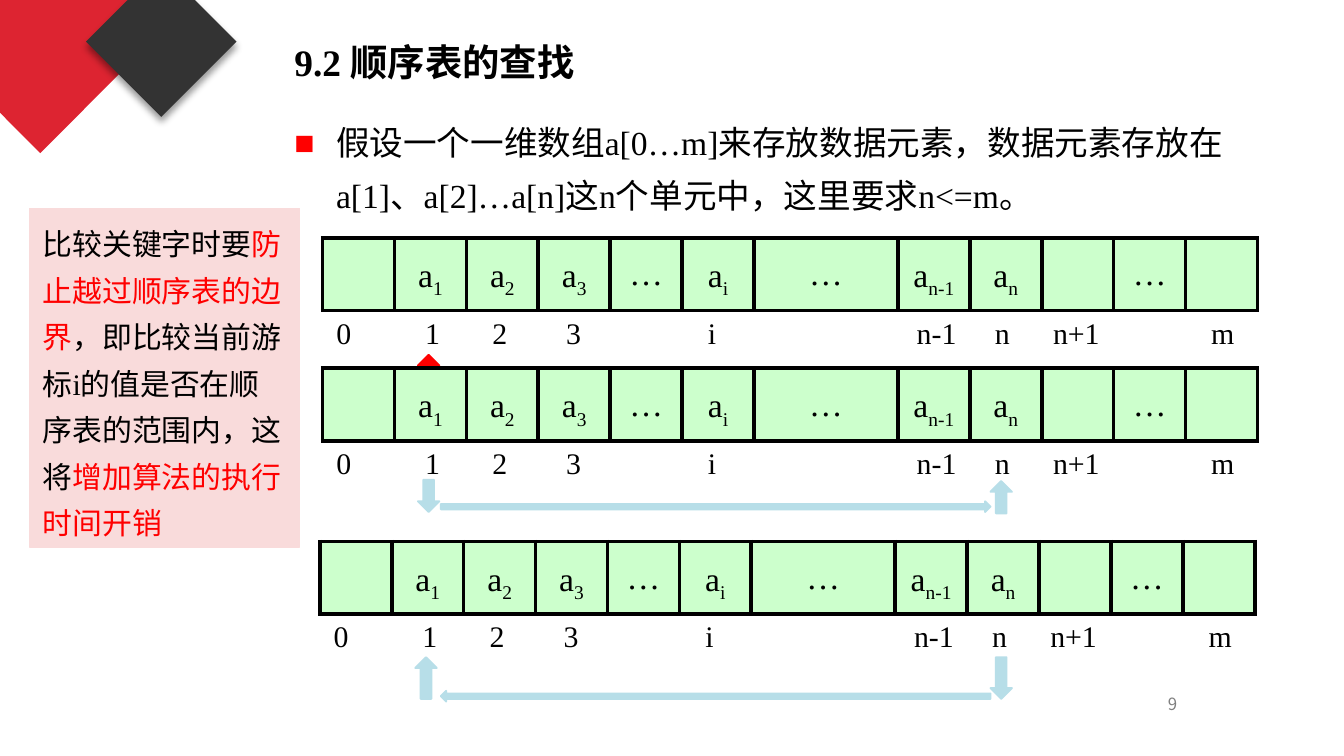
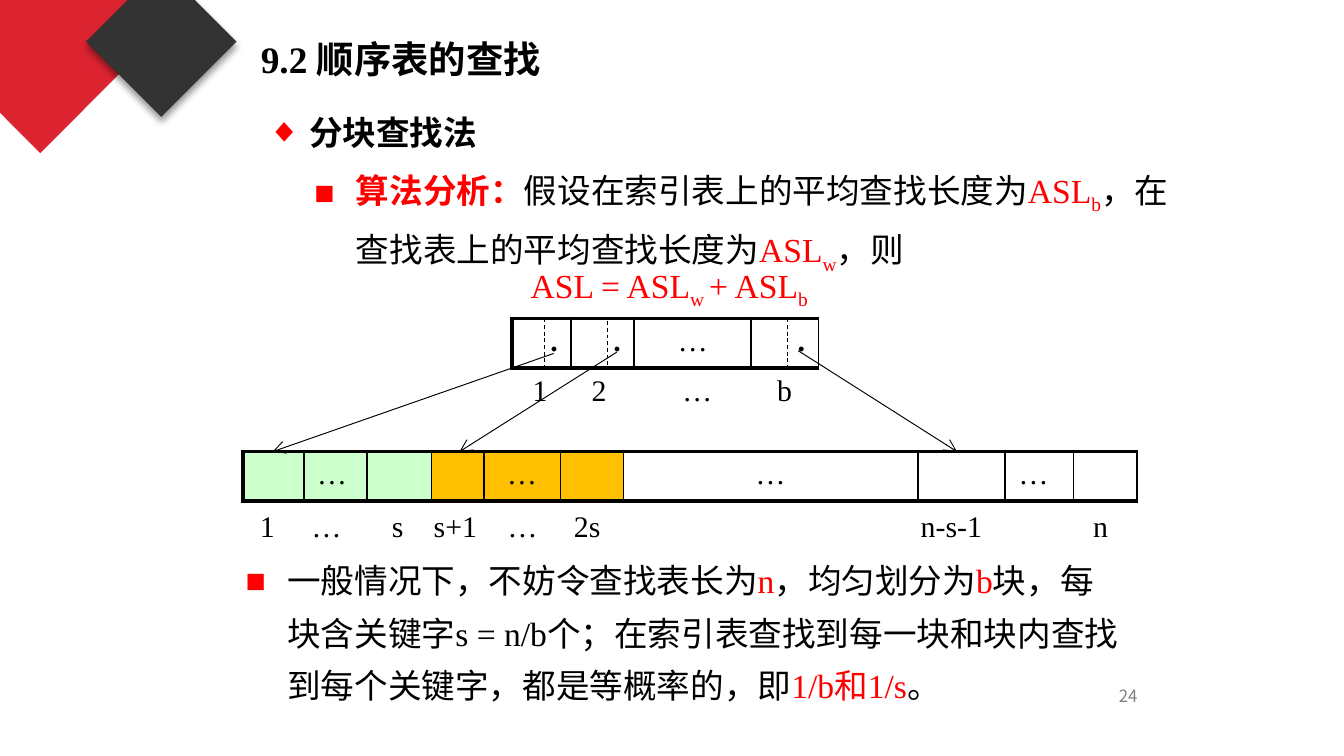
"""Build two slides on searching a sequential list."""
import dataclasses

import lxml.etree
import pptx
import pptx.dml.color
import pptx.enum.dml
import pptx.enum.shapes
import pptx.enum.text
import pptx.oxml.ns
import pptx.util

Inches = pptx.util.Inches
Pt = pptx.util.Pt
qn = pptx.oxml.ns.qn
SHAPE = pptx.enum.shapes.MSO_SHAPE
ANCHOR = pptx.enum.text.MSO_ANCHOR
ALIGN = {
    "l": pptx.enum.text.PP_ALIGN.LEFT,
    "c": pptx.enum.text.PP_ALIGN.CENTER,
    "r": pptx.enum.text.PP_ALIGN.RIGHT,
}
rgb = pptx.dml.color.RGBColor.from_string


@dataclasses.dataclass(frozen=True)
class Theme:
    black = rgb("000000")
    red = rgb("FF0000")
    gray = rgb("808080")
    crimson = rgb("DD2431")
    charcoal = rgb("333333")
    green = rgb("CCFFCC")
    amber = rgb("FFC000")
    sky = rgb("B7DEE8")
    pink = rgb("F9DBDB")
    latin = "Times New Roman"
    chinese = "Noto Sans CJK SC"
    title = 20
    body = 18
    label = 16
    number = 9
    loose = 1.3
    thick = 2.25
    thin = 1


theme = Theme()


def write(target, box, spans, size, color=theme.black, font=theme.latin, bold=False,
          align="l", spacing=1.0, bullet=None, tabs=(), anchor=ANCHOR.TOP):
    """Place a text holder and fill it with one paragraph of marked spans."""
    if box:
        target.left, target.top, target.width, target.height = map(Inches, box)
        target.text_frame.auto_size = pptx.enum.text.MSO_AUTO_SIZE.NONE
        target.text_frame.word_wrap = True
        target.text_frame.vertical_anchor = anchor
    para = target.text_frame.paragraphs[0]
    para.alignment = ALIGN[align]
    para.line_spacing = spacing
    para.space_before = Pt(0)
    properties = para._p.get_or_add_pPr()
    if bullet:
        properties.set("marL", str(Inches(0.31)))
        properties.set("indent", str(Inches(-0.31)))
        bullet_color = lxml.etree.SubElement(properties, qn("a:buClr"))
        lxml.etree.SubElement(bullet_color, qn("a:srgbClr"), val=str(theme.red))
        lxml.etree.SubElement(properties, qn("a:buFont"), typeface="Arial")
        lxml.etree.SubElement(properties, qn("a:buChar"), char=bullet)
    if tabs:
        tab_list = lxml.etree.SubElement(properties, qn("a:tabLst"))
        for stop in tabs:
            lxml.etree.SubElement(tab_list, qn("a:tab"), pos=str(Inches(stop)), algn="ctr")
    para.font.size = Pt(size)
    para.font.name = font
    para.font.bold = bold
    para.font.color.rgb = color
    lxml.etree.SubElement(properties.find(qn("a:defRPr")), qn("a:ea"), typeface=theme.chinese)
    for text, *marks in spans:
        span = para.add_run()
        span.text = text
        if "red" in marks:
            span.font.color.rgb = theme.red
        if "bold" in marks:
            span.font.bold = True
        if "sub" in marks:
            span._r.get_or_add_rPr().set("baseline", "-25000")


def draw_cells(page, box, widths, cells, fills, aligns, size, spacing, inner):
    """Draw a one-row table with thick outer edges and inner rules of the given width."""
    frame = page.shapes.add_table(1, len(widths), *map(Inches, box))
    table = frame.table
    table.first_row = table.horz_banding = False
    for index, (width, spans, fill, align) in enumerate(zip(widths, cells, fills, aligns)):
        table.columns[index].width = Inches(width)
        cell = table.cell(0, index)
        edges = {"L": inner if index else theme.thick, "R": inner,
                 "T": theme.thick, "B": theme.thick}
        for side, weight in edges.items():
            edge = lxml.etree.SubElement(cell._tc.get_or_add_tcPr(), qn(f"a:ln{side}"),
                                         w=str(Pt(weight)))
            ink = lxml.etree.SubElement(edge, qn("a:solidFill"))
            lxml.etree.SubElement(ink, qn("a:srgbClr"), val=str(theme.black))
        if fill:
            cell.fill.solid()
            cell.fill.fore_color.rgb = fill
        else:
            cell.fill.background()
        if spans:
            write(cell, None, spans, size, align=align, spacing=spacing)
        else:
            cell.margin_top = cell.margin_bottom = 0


deck = pptx.Presentation()
deck.slide_width = Inches(10)
deck.slide_height = Inches(10 * 9 / 16)

frames = [
    ((2.09, 0.24, 2.68, 0.44), "9", (7.56, 5.09, 2.33, 0.3)),
    ((1.84, 0.22, 2.99, 0.44), "24", (7.23, 5.03, 2.33, 0.3)),
]
for title_box, number, number_box in frames:
    page = deck.slides.add_slide(deck.slide_layouts[1])
    write(page.shapes.title, title_box, [("9.2 顺序表的查找",)], theme.title, bold=True)
    for box, color in [((-0.59, -0.65, 1.78, 1.79), theme.crimson),
                       ((0.64, -0.25, 1.12, 1.12), theme.charcoal)]:
        diamond = page.shapes.add_shape(SHAPE.DIAMOND, *map(Inches, box))
        diamond.fill.solid()
        diamond.fill.fore_color.rgb = color
        diamond.line.fill.background()
        diamond.shadow.inherit = False
    effects = diamond._element.spPr.find(qn("a:effectLst"))
    shadow = lxml.etree.SubElement(effects, qn("a:outerShdw"), blurRad=str(Pt(4)),
                                   dist=str(Pt(3)), dir="5400000", rotWithShape="0")
    shade = lxml.etree.SubElement(shadow, qn("a:srgbClr"), val=str(theme.black))
    lxml.etree.SubElement(shade, qn("a:alpha"), val="40000")
    write(page.shapes.add_textbox(0, 0, 0, 0), number_box, [(number,)], theme.number,
          theme.gray, theme.chinese, align="c", anchor=ANCHOR.MIDDLE)

array_page, block_page = deck.slides

write(array_page.placeholders[1], (2.09, 0.77, 7.4, 0.85),
      [("假设一个一维数组a[0…m]来存放数据元素，数据元素存放在a[1]、a[2]…a[n]这n个单元中，这里要求n<=m。",)],
      theme.body, spacing=theme.loose, bullet="■")

array_names = ["", "1", "2", "3", "…", "i", "…", "n-1", "n", "", "…", ""]
array_cells = [[("…",)] if name == "…" else [("a",), (name, "sub")] if name else []
               for name in array_names]
array_unit = 6.96 / 13
array_widths = [array_unit] * 6 + [2 * array_unit] + [array_unit] * 5
array_labels = ["0", "1", "2", "3", "i", "n-1", "n", "n+1", "m"]
array_tabs = [0.06, 0.72, 1.22, 1.77, 2.8, 4.47, 4.96, 5.51, 6.6]
array_rows = [
    (2.4, 1.77, [(SHAPE.UP_ARROW, (3.11, 2.64, 0.16, 0.37), theme.red)]),
    (2.4, 2.74, [(SHAPE.DOWN_ARROW, (3.11, 3.57, 0.16, 0.24), theme.sky),
                 (SHAPE.RIGHT_ARROW, (3.28, 3.73, 4.09, 0.08), theme.sky),
                 (SHAPE.UP_ARROW, (7.37, 3.58, 0.16, 0.24), theme.sky)]),
    (2.38, 4.03, [(SHAPE.UP_ARROW, (3.09, 4.89, 0.16, 0.31), theme.sky),
                  (SHAPE.LEFT_ARROW, (3.28, 5.14, 4.09, 0.08), theme.sky),
                  (SHAPE.DOWN_ARROW, (7.37, 4.89, 0.16, 0.31), theme.sky)]),
]
for left, top, arrows in array_rows:
    draw_cells(array_page, (left, top, 6.96, 0.54), array_widths, array_cells,
               [theme.green] * 12, "c" * 12, theme.body, theme.loose, theme.thick)
    write(array_page.shapes.add_textbox(0, 0, 0, 0), (left, top + 0.52, 7.09, 0.37),
          [("\t" + "\t".join(array_labels),)], theme.label, tabs=array_tabs)
    for kind, box, color in arrows:
        arrow = array_page.shapes.add_shape(kind, *map(Inches, box))
        arrow.fill.solid()
        arrow.fill.fore_color.rgb = color
        arrow.line.color.rgb = color
        arrow.line.width = Pt(1)
        arrow.shadow.inherit = False

warning = array_page.shapes.add_shape(SHAPE.RECTANGLE, 0, 0, 0, 0)
warning.fill.solid()
warning.fill.fore_color.rgb = theme.pink
warning.line.color.rgb = theme.pink
warning.line.width = Pt(0.75)
warning.shadow.inherit = False
write(warning, (0.22, 1.55, 2.01, 2.52),
      [("比较关键字时要",), ("防止越过顺序表的边界", "red"),
       ("，即比较当前游标i的值是否在顺序表的范围内，这将",), ("增加算法的执行时间开销", "red")],
      theme.label, spacing=theme.loose)

write(block_page.placeholders[1], (1.89, 0.69, 3.11, 0.46), [("分块查找法",)],
      theme.body, bold=True, spacing=theme.loose, bullet="◆")
analysis = [
    ("算法分析：", "red", "bold"), ("假设在索引表上的平均查找长度为",), ("ASL", "red"),
    ("b", "red", "sub"), ("，在查找表上的平均查找长度为",), ("ASL", "red"),
    ("w", "red", "sub"), ("，则",),
]
assumption = [
    ("一般情况下，不妨令查找表长为",), ("n", "red"), ("，均匀划分为",), ("b", "red"),
    ("块，每块含关键字s = n/b个；在索引表查找到每一块和块内查找到每个关键字，都是等概率的，即",),
    ("1/b和1/s", "red"), ("。",),
]
for box, spans in [((2.24, 1.11, 6.7, 0.85), analysis), ((1.73, 4.03, 6.7, 1.24), assumption)]:
    write(block_page.shapes.add_textbox(0, 0, 0, 0), box, spans, theme.body,
          spacing=theme.loose, bullet="■")
write(block_page.shapes.add_textbox(0, 0, 0, 0), (3.85, 1.92, 2.6, 0.4),
      [("ASL = ASL",), ("w ", "sub"), ("+ ASL",), ("b", "sub")], theme.body, theme.red)

dots, pointer = [("…",)], [(".", "bold")]
draw_cells(block_page, (1.81, 3.36, 6.65, 0.37),
           [0.45, 0.47, 0.48, 0.39, 0.57, 0.47, 2.19, 0.65, 0.51, 0.47],
           [[], dots, [], [], dots, [], dots, [], dots, []],
           [theme.green] * 3 + [theme.amber] * 3 + [None] * 4,
           "llllclclll", theme.label, 1.0, theme.thin)
draw_cells(block_page, (3.81, 2.37, 2.28, 0.37), [0.44, 0.47, 0.87, 0.5],
           [pointer, pointer, dots, pointer], [None] * 4, "rrcr", theme.label, 1.0, theme.thin)

block_labels = [
    ((1.83, 3.73, 6.65, 0.37), ["1", "…", "s", "s+1", "…", "2s", "n-s-1", "n"],
     [0.06, 0.5, 1.03, 1.46, 1.96, 2.44, 5.15, 6.26]),
    ((3.81, 2.72, 2.28, 0.37), ["1", "2", "…", "b"], [0.11, 0.55, 1.28, 1.93]),
]
for box, labels, tabs in block_labels:
    write(block_page.shapes.add_textbox(0, 0, 0, 0), box, [("\t" + "\t".join(labels),)],
          theme.label, tabs=tabs)

block_lines = [
    (4.05, 2.37, 4.05, 2.72, "divider"),
    (4.52, 2.39, 4.52, 2.74, "divider"),
    (5.86, 2.37, 5.86, 2.72, "divider"),
    (4.12, 2.63, 2.03, 3.36, "pointer"),
    (4.59, 2.62, 3.42, 3.36, "pointer"),
    (5.94, 2.61, 7.12, 3.36, "pointer"),
]
for *ends, role in block_lines:
    link = block_page.shapes.add_connector(pptx.enum.shapes.MSO_CONNECTOR.STRAIGHT,
                                           *map(Inches, ends))
    link.line.color.rgb = theme.black
    link.line.width = Pt(0.5)
    if role == "divider":
        link.line.dash_style = pptx.enum.dml.MSO_LINE.DASH
    else:
        lxml.etree.SubElement(link.line._get_or_add_ln(), qn("a:tailEnd"), type="arrow")
    lxml.etree.SubElement(link._element.spPr, qn("a:effectLst"))

deck.save("out.pptx")
